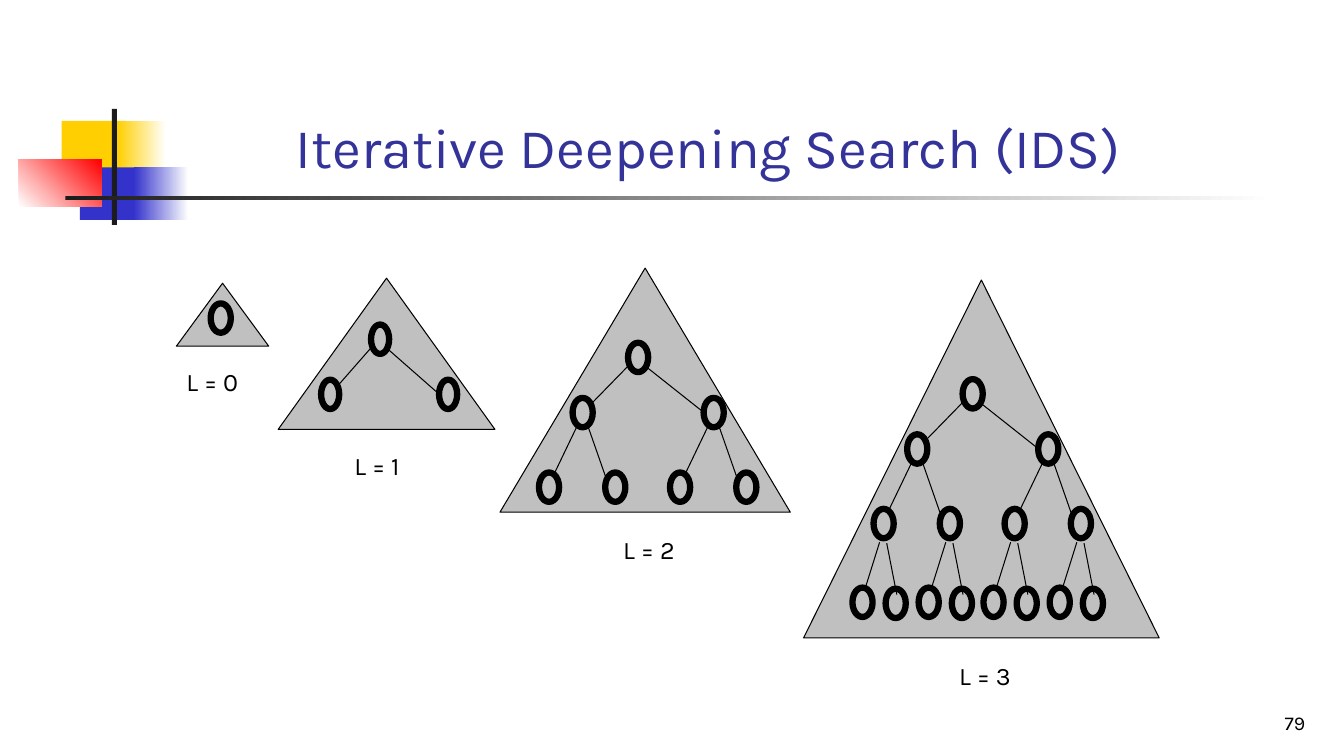
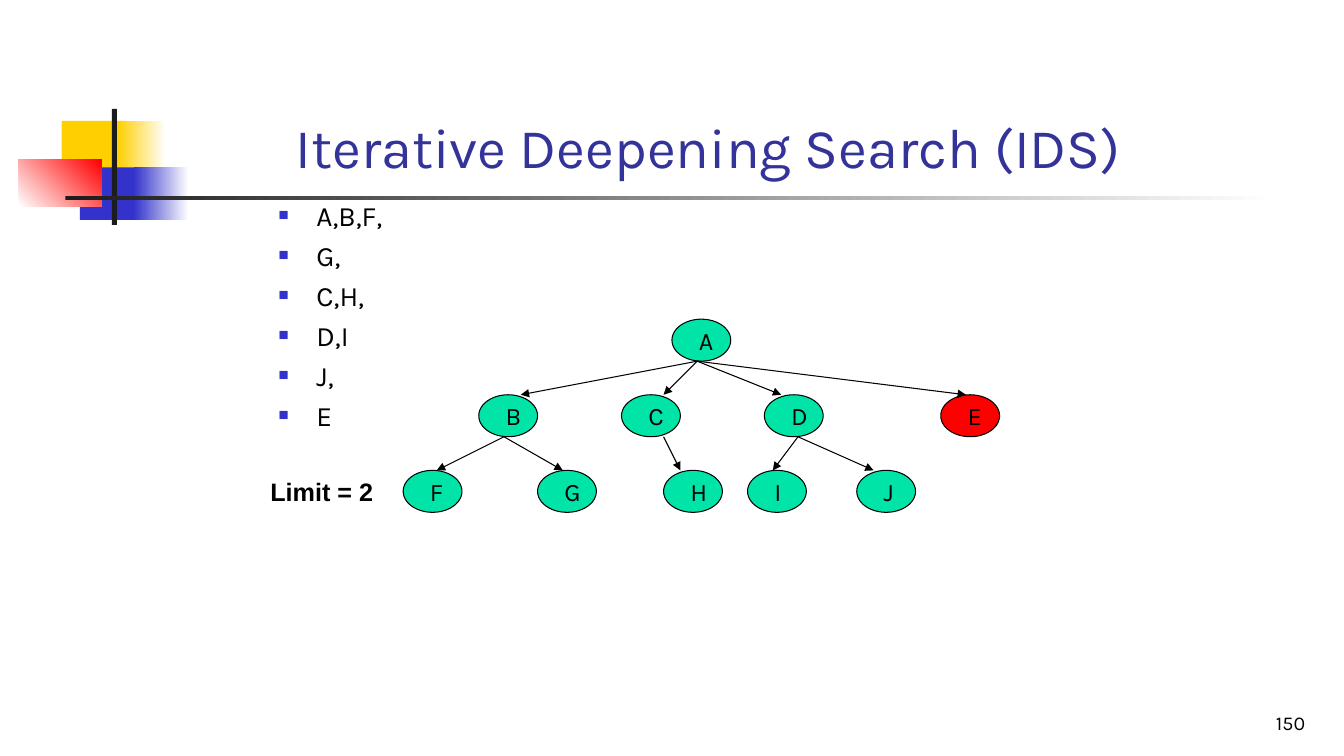
from dataclasses import dataclass

from pptx import Presentation
from pptx.dml.color import RGBColor
from pptx.enum.shapes import MSO_CONNECTOR, MSO_SHAPE
from pptx.enum.text import MSO_ANCHOR, MSO_AUTO_SIZE, PP_ALIGN
from pptx.oxml.ns import qn
from pptx.util import Pt
from lxml.etree import SubElement


@dataclass(frozen=True)
class Theme:
    font: str = "Karla"
    limit_font: str = "Arial"
    white: str = "FFFFFF"
    black: str = "000000"
    title: str = "333399"
    yellow: str = "FFCF01"
    blue: str = "3333CC"
    red: str = "FF0000"
    charcoal: str = "1C1C1C"
    gray: str = "C0C0C0"
    green: str = "00E4A8"
    title_size: float = 40
    list_size: float = 20
    label_size: float = 18
    number_size: float = 14
    thin: float = 0.75
    thick: float = 4.5


THEME = Theme()

# Shared frame: all lengths in points, boxes as left, top, width, height
TITLE = "Iterative Deepening Search (IDS)"
TITLE_BOX = (204, 36, 618, 96)
NUMBER_BOX = (739.4, 492, 200, 36)
# Box, colours (two make a gradient), gradient angle
BANDS = [
    ((44, 86.4, 46, 37.5), (THEME.yellow,), 0),
    ((84, 86.4, 34.5, 37.5), (THEME.yellow, THEME.white), 0),
    ((57, 119.6, 44.5, 37.5), (THEME.blue,), 0),
    ((95.6, 119.6, 39, 37.5), (THEME.blue, THEME.white), 0),
    ((13.4, 113.8, 59, 33.5), (THEME.white, THEME.red), 45),
    ((79.9, 77.8, 3.6, 82.8), (THEME.charcoal,), 0),
    ((46.8, 140.2, 864, 2.5), (THEME.charcoal, THEME.white), 0),
]

# Slide 1: one search tree per depth limit
TREES = [
    {"triangle": (126, 202.3, 66, 45), "root": (150.5, 216.7), "scale": 1, "label": (126, 257.8)},
    {"triangle": (198.7, 198.7, 154.8, 108), "root": (265, 231.8), "scale": 0.9, "label": (246, 318)},
    {"triangle": (357.1, 191.5, 207.4, 174.4), "root": (448.6, 244.8), "scale": 1, "label": (438, 378)},
    {"triangle": (574, 200, 254, 255.6), "root": (687.6, 270.8), "scale": 1, "label": (678, 468)},
]
NODE_SIZE = (14.4, 21)
# Per level, left then right: child offset, branch start, branch end, all from the parent's corner
BRANCHES = [
    [((-39.6, 39.4), (0.7, 16), (-26.6, 44)), ((54, 39.4), (12.2, 16.6), (54, 49.7))],
    [((-24, 53.3), (3.6, 19.4), (-13.5, 55)), ((23.3, 53.3), (11, 20.3), (24, 57.5))],
    [((-15.1, 56.2), (4.3, 23.8), (-6.5, 58.3)), ((8.6, 57), (9.4, 24.5), (16.6, 61.2))],
]

# Slide 2: visiting order and the example tree
VISITS = ["A,B,F,", "G,", "C,H,", "D,I", "J,", "E"]
VISITS_BOX = (192, 138, 612, 176)
VISITS_INDENT = 27
LIMIT = "Limit = 2"
LIMIT_BOX = (186, 337, 96, 28.8)
ROW_TOP, ROW_STEP = 228, 54
ROWS = [
    {"A": 480},
    {"B": 342, "C": 444, "D": 546, "E": 672},
    {"F": 288, "G": 384, "H": 474, "I": 534, "J": 612},
]
GOAL = "E"
OVAL_SIZE = (42, 30)
LETTER_INSET = 13
# Parent, child, arrow start and end measured from each oval's left edge
ARROWS = [
    ("A", "B", 18, 30), ("A", "C", 18, 30), ("A", "D", 18, 12), ("A", "E", 18, 18),
    ("B", "F", 18, 24), ("B", "G", 18, 18), ("C", "H", 30, 12),
    ("D", "I", 24, 18), ("D", "J", 24, 12),
]


def rgb(color):
    return RGBColor.from_string(color)


def points(values):
    return [Pt(value) for value in values]


def shifted(origin, offset, scale=1):
    """Move a point by an offset whose horizontal part is scaled."""
    return origin[0] + offset[0] * scale, origin[1] + offset[1]


def set_all(target, values):
    for name, value in values.items():
        setattr(target, name, value)


def format_text(paragraph, size, color=THEME.black, font=THEME.font, bold=False, align=PP_ALIGN.LEFT):
    paragraph.alignment = align
    set_all(paragraph.font, {"size": Pt(size), "name": font, "bold": bold})
    paragraph.font.color.rgb = rgb(color)


def add_text(slide, box, text, size=THEME.label_size, anchor=MSO_ANCHOR.TOP, **style):
    frame = slide.shapes.add_textbox(*points(box)).text_frame
    set_all(frame, {"word_wrap": True, "vertical_anchor": anchor, "text": text})
    for paragraph in frame.paragraphs:
        format_text(paragraph, size, **style)
    return frame


def add_shape(slide, kind, box, colors, angle=0, line=THEME.thin):
    shape = slide.shapes.add_shape(kind, *points(box))
    shape.shadow.inherit = False
    if len(colors) == 1:
        shape.fill.solid()
        shape.fill.fore_color.rgb = rgb(colors[0])
    else:
        shape.fill.gradient()
        shape.fill.gradient_angle = angle
        for stop, color in zip(shape.fill.gradient_stops, colors):
            stop.color.rgb = rgb(color)
    if line:
        shape.line.color.rgb = rgb(THEME.black)
        shape.line.width = Pt(line)
    else:
        shape.line.fill.background()
    return shape


def add_line(slide, start, end, arrow=False):
    connector = slide.shapes.add_connector(MSO_CONNECTOR.STRAIGHT, *points(start + end))
    connector.line.color.rgb = rgb(THEME.black)
    connector.line.width = Pt(THEME.thin)
    if arrow:
        SubElement(connector.line._get_or_add_ln(), qn("a:tailEnd"), type="triangle")
    SubElement(connector._element.spPr, qn("a:effectLst"))


def add_bullet(paragraph):
    properties = paragraph._p.get_or_add_pPr()
    properties.set("marL", str(Pt(VISITS_INDENT)))
    properties.set("indent", str(-Pt(VISITS_INDENT)))
    color = SubElement(properties, qn("a:buClr"))
    SubElement(color, qn("a:srgbClr"), val=THEME.blue)
    SubElement(properties, qn("a:buSzPct"), val="60000")
    SubElement(properties, qn("a:buFont"), typeface=THEME.limit_font)
    SubElement(properties, qn("a:buChar"), char="■")


def new_slide(presentation, number):
    """Title-only slide with the corner bands, title and slide number."""
    slide = presentation.slides.add_slide(presentation.slide_layouts[5])
    for box, colors, angle in BANDS:
        add_shape(slide, MSO_SHAPE.RECTANGLE, box, colors, angle, line=0)
    title = slide.shapes.title
    set_all(title, dict(zip(("left", "top", "width", "height"), points(TITLE_BOX))))
    set_all(title.text_frame, {
        "text": TITLE, "word_wrap": True,
        "vertical_anchor": MSO_ANCHOR.BOTTOM, "auto_size": MSO_AUTO_SIZE.NONE,
    })
    format_text(title.text_frame.paragraphs[0], THEME.title_size, THEME.title)
    add_text(slide, NUMBER_BOX, number, THEME.number_size, MSO_ANCHOR.BOTTOM, align=PP_ALIGN.RIGHT)
    return slide


def add_subtree(slide, corner, scale, limit, level=0):
    """Draw a node, then its two subtrees and branches down to the limit."""
    size = (NODE_SIZE[0] * scale, NODE_SIZE[1])
    node = add_shape(slide, MSO_SHAPE.OVAL, corner + size, [THEME.gray], line=THEME.thick)
    fill_color = node._element.spPr.find(qn("a:solidFill")).find(qn("a:srgbClr"))
    SubElement(fill_color, qn("a:alpha"), val="50000")
    if level == limit:
        return
    for offset, start, end in BRANCHES[level]:
        add_subtree(slide, shifted(corner, offset, scale), scale, limit, level + 1)
        add_line(slide, shifted(corner, start, scale), shifted(corner, end, scale))


def build_depth_slide(presentation):
    slide = new_slide(presentation, "79")
    for limit, tree in enumerate(TREES):
        add_shape(slide, MSO_SHAPE.ISOSCELES_TRIANGLE, tree["triangle"], [THEME.gray])
        add_subtree(slide, tree["root"], tree["scale"], limit)
        add_text(slide, tree["label"] + (60, 28.8), f"L = {limit}")


def build_example_slide(presentation):
    slide = new_slide(presentation, "150")

    # Visiting order
    frame = add_text(slide, VISITS_BOX, "\n".join(VISITS), THEME.list_size)
    for index, paragraph in enumerate(frame.paragraphs):
        add_bullet(paragraph)
        paragraph.space_before = Pt(4.6 if index else 0)
        format_text(paragraph, THEME.list_size)

    # Tree nodes
    corners = {}
    for row, nodes in enumerate(ROWS):
        for letter, left in nodes.items():
            corners[letter] = (left, ROW_TOP + row * ROW_STEP)
            color = THEME.red if letter == GOAL else THEME.green
            oval = add_shape(slide, MSO_SHAPE.OVAL, corners[letter] + OVAL_SIZE, [color])
            set_all(oval.text_frame, {
                "text": letter, "word_wrap": True, "vertical_anchor": MSO_ANCHOR.MIDDLE,
                "margin_left": Pt(LETTER_INSET), "margin_right": 0,
                "margin_top": 0, "margin_bottom": 0,
            })
            format_text(oval.text_frame.paragraphs[0], THEME.label_size)

    # Arrows from parents to children
    for parent, child, start, end in ARROWS:
        add_line(slide, shifted(corners[parent], (start, OVAL_SIZE[1])),
                 shifted(corners[child], (end, 0)), arrow=True)

    add_text(slide, LIMIT_BOX, LIMIT, font=THEME.limit_font, bold=True)


def main():
    presentation = Presentation()
    presentation.slide_width, presentation.slide_height = Pt(960), Pt(540)
    build_depth_slide(presentation)
    build_example_slide(presentation)
    presentation.save("out.pptx")


if __name__ == "__main__":
    main()
